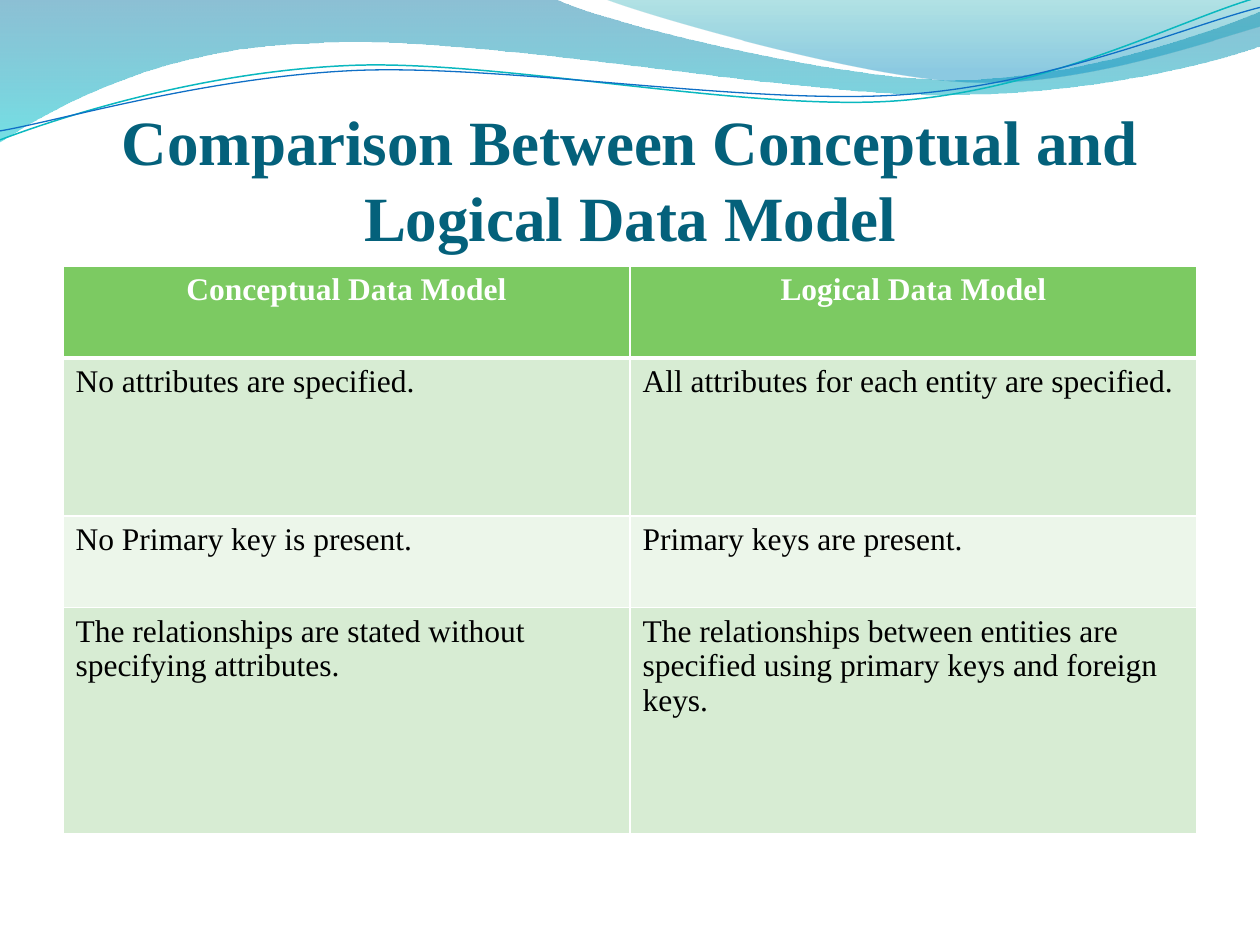
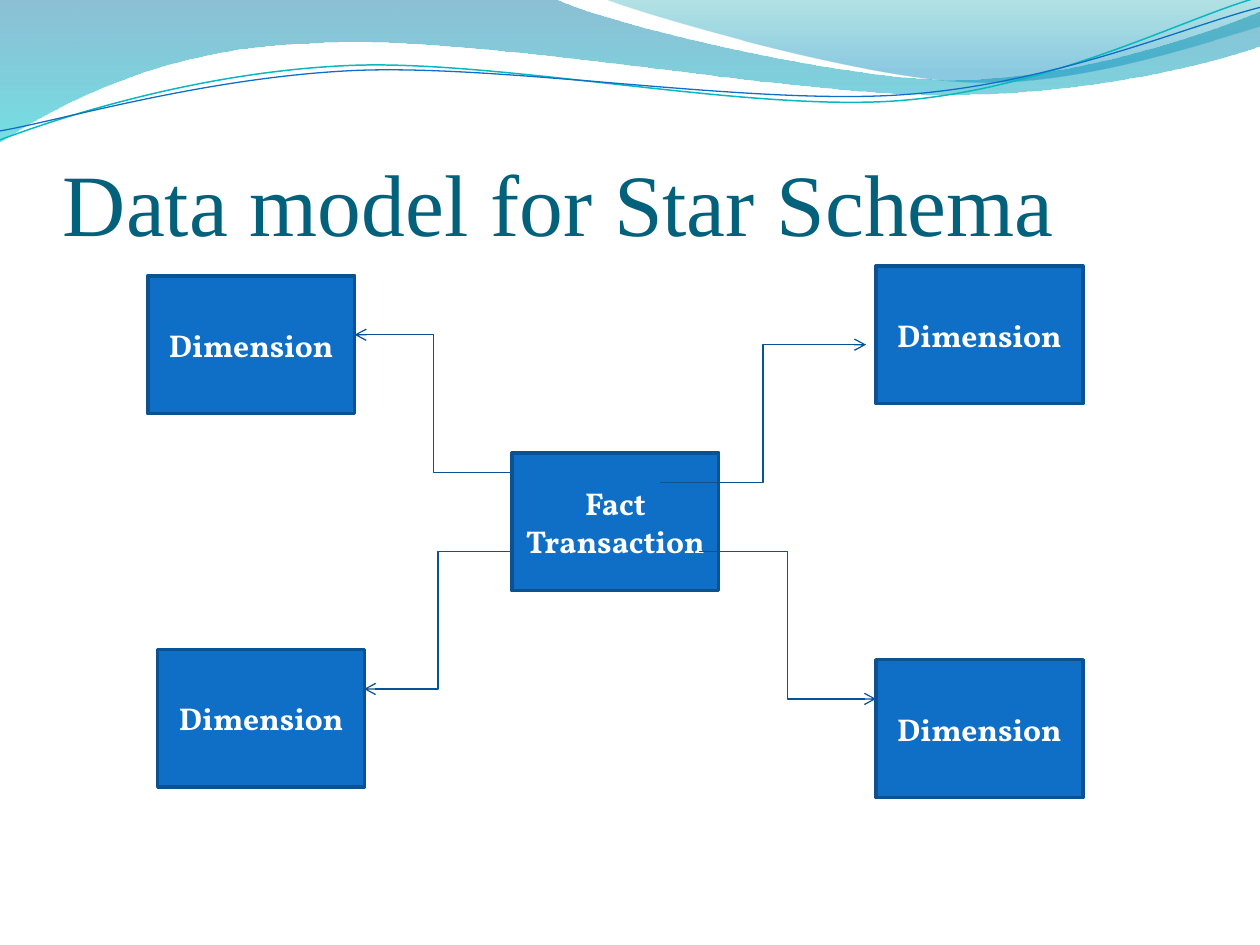
from math import cos, radians, sin
from typing import NamedTuple, Optional

from lxml import etree
from pptx import Presentation
from pptx import util as u
from pptx.dml.color import RGBColor
from pptx.enum import shapes, text
from pptx.oxml.ns import qn

TITLE_TEAL = RGBColor(0x04, 0x61, 0x7B)
WHITE = RGBColor(0xFF, 0xFF, 0xFF)
BLACK = RGBColor(0, 0, 0)
BLUE = RGBColor(0x0F, 0x6F, 0xC6)
BOX_EDGE = RGBColor(0x0B, 0x52, 0x92)
ARROW_BLUE = RGBColor(0x09, 0x52, 0x95)
CURVE_TEAL = RGBColor(0x0A, 0xB8, 0xBF)
HEADER_GREEN = RGBColor(0x7C, 0xCA, 0x62)
BAND_GREEN = RGBColor(0xD7, 0xEC, 0xD3)
BAND_PALE = RGBColor(0xEC, 0xF6, 0xEA)

SERIF = "Times New Roman"
BOX_FONT = "Vollkorn"
CURVE_TILT = -2.7


class Stop(NamedTuple):
    position: float
    color: RGBColor
    opacity: int


class Wave(NamedTuple):
    """Outline in cm: a segment is one point (straight) or three (Bezier)."""
    start: tuple
    segments: list
    stops: tuple = ()
    line: Optional[RGBColor] = None
    width: float = 0
    center: tuple = (0, 0)
    tilt: float = 0


class Box(NamedTuple):
    label: str
    left: float
    top: float


class Arrow(NamedTuple):
    x1: float
    y1: float
    x2: float
    y2: float


WAVES = [
    Wave((0, 0), [
        ((11.18, -0.03),),
        ((12.09, 0.43), (16.87, 1.6), (19.25, 1.6)),
        ((21.67, 1.6), (24.33, 0.66), (25.4, 0.23)),
        ((25.43, 0.91),),
        ((24.97, 1.12), (22.1, 1.93), (18.95, 1.91)),
        ((15.8, 1.91), (9.7, 0.71), (6.53, 0.86)),
        ((3.28, 0.91), (1.17, 2.11), (-0.03, 2.87)),
        ((0, 0),),
    ], stops=(Stop(0, RGBColor(0x00, 0x74, 0xA1), 45),
              Stop(1, RGBColor(0x00, 0xC6, 0xCF), 55))),
    Wave((12.17, -0.03), [
        ((12.93, 0.28), (17.32, 1.57), (19.53, 1.65)),
        ((21.74, 1.75), (24.41, 0.81), (25.4, 0.53)),
        ((25.4, 0),),
        ((12.17, -0.03),),
    ], stops=(Stop(0, RGBColor(0x00, 0xA1, 0xA9), 30),
              Stop(0.8, RGBColor(0x00, 0x8B, 0xBF), 45))),
    Wave((0, 2.82), [
        ((1.22, 2.36), (4.01, 1.45), (7.04, 1.32)),
        ((10.03, 1.19), (15.06, 2.26), (18.11, 2.03)),
        ((21.16, 1.8), (23.83, 0.38), (25.35, -0.05)),
    ], line=CURVE_TEAL, width=0.85, center=(12.67, 1.46), tilt=CURVE_TILT),
    Wave((0, 2.64), [
        ((1.19, 2.44), (4.17, 1.55), (7.19, 1.42)),
        ((10.24, 1.3), (15.16, 2.13), (18.21, 1.91)),
        ((21.23, 1.7), (23.9, 0.53), (25.4, 0.15)),
    ], line=BLUE, width=0.75, center=(12.69, 1.5), tilt=CURVE_TILT),
]

ROWS = [
    ("Conceptual Data Model", "Logical Data Model"),
    ("No attributes are specified.",
     "All attributes for each entity are specified."),
    ("No Primary key is present.", "Primary keys are present."),
    ("The relationships are stated without specifying attributes.",
     "The relationships between entities are specified using primary keys "
     "and foreign keys."),
]
ROW_HEIGHTS = (1.85, 3.18, 1.85, 4.55)
COLUMN_WIDTH = 11.43

BOX_WIDTH, BOX_HEIGHT = 4.17, 2.78
BOXES = [
    Box("Fact Transaction", 10.32, 9.13),
    Box("Dimension", 3.18, 13.09),
    Box("Dimension", 2.98, 5.56),
    Box("Dimension", 17.66, 5.36),
    Box("Dimension", 17.66, 13.3),
]
ARROWS = [
    Arrow(13.3, 9.73, 17.46, 6.95),
    Arrow(10.32, 9.53, 7.15, 6.75),
    Arrow(14.1, 11.12, 17.66, 14.09),
    Arrow(10.32, 11.12, 7.34, 13.89),
]


def untilt(point: tuple, wave: Wave) -> tuple:
    """Place a point, in EMU, as it lies before the wave is rotated."""
    angle = radians(-wave.tilt)
    cx, cy = wave.center
    dx, dy = point[0] - cx, point[1] - cy
    return (u.Cm(cx + dx * cos(angle) - dy * sin(angle)),
            u.Cm(cy + dx * sin(angle) + dy * cos(angle)))


def bend_segments(sp, segments: list) -> None:
    """Merge each three straight steps of a Bezier segment into one curve."""
    steps = iter(list(sp.element.iter(qn("a:lnTo"))))
    for segment in segments:
        group = [next(steps) for _ in segment]
        if len(group) == 1:
            continue
        curve = etree.Element(qn("a:cubicBezTo"))
        group[0].addprevious(curve)
        for step in group:
            curve.append(step[0])
            step.getparent().remove(step)


def draw_wave(s, wave: Wave) -> None:
    builder = s.shapes.build_freeform(*untilt(wave.start, wave))
    builder.add_line_segments([untilt(point, wave) for segment in wave.segments
                               for point in segment], close=bool(wave.stops))
    sp = builder.convert_to_shape()
    bend_segments(sp, wave.segments)
    sp.rotation = wave.tilt
    sp.shadow.inherit = False
    if not wave.stops:
        sp.fill.background()
        sp.line.color.rgb = wave.line
        sp.line.width = u.Pt(wave.width)
        return
    sp.line.fill.background()
    sp.fill.gradient()
    sp.fill.gradient_angle = 270
    for target, stop in zip(sp.fill.gradient_stops, wave.stops):
        target.position = stop.position
        target.color.rgb = stop.color
    for color, stop in zip(sp.element.spPr.iter(qn("a:srgbClr")), wave.stops):
        etree.SubElement(color, qn("a:alpha"), val=str(stop.opacity * 1000))


def add_run(p, words: str, font: str, size: float, color: RGBColor,
            bold: bool = False) -> None:
    r = p.add_run()
    r.text = words
    r.font.name = font
    r.font.size = u.Pt(size)
    r.font.color.rgb = color
    r.font.bold = bold


def add_titled_slide(prs, title: str, size: float, bold: bool, align):
    s = prs.slides.add_slide(prs.slide_layouts[6])
    for wave in WAVES:
        draw_wave(s, wave)
    tf = s.shapes.add_textbox(u.Cm(1.27), u.Cm(1.94),
                              u.Cm(22.86), u.Cm(3.18)).text_frame
    tf.word_wrap = True
    tf.vertical_anchor = text.MSO_ANCHOR.BOTTOM
    tf.margin_left = tf.margin_right = tf.margin_bottom = 0
    tf.margin_top = u.Cm(0.13)
    p = tf.paragraphs[0]
    p.alignment = align
    add_run(p, title, SERIF, size, TITLE_TEAL, bold)
    return s


def set_borders(cell, **widths: float) -> None:
    """Give white edges; widths in points, keyed L, R, T and B."""
    tc_pr = cell._tc.get_or_add_tcPr()
    for side in "LRTB":
        ln = etree.SubElement(tc_pr, qn(f"a:ln{side}"),
                              w=str(u.Pt(widths.get(side, 1))))
        fill = etree.SubElement(ln, qn("a:solidFill"))
        etree.SubElement(fill, qn("a:srgbClr"), val=str(WHITE))


def draw_comparison_table(s) -> None:
    columns = len(ROWS[0])
    table = s.shapes.add_table(len(ROWS), columns, u.Cm(1.27), u.Cm(5.37),
                               u.Cm(COLUMN_WIDTH * columns),
                               u.Cm(sum(ROW_HEIGHTS))).table
    table.horz_banding = False
    for column in table.columns:
        column.width = u.Cm(COLUMN_WIDTH)
    for i, (words, height) in enumerate(zip(ROWS, ROW_HEIGHTS)):
        table.rows[i].height = u.Cm(height)
        header = i == 0
        fill = HEADER_GREEN if header else (BAND_PALE, BAND_GREEN)[i % 2]
        for j, phrase in enumerate(words):
            cell = table.cell(i, j)
            set_borders(cell, B=3 if header else 1, T=3 if i == 1 else 1)
            cell.fill.solid()
            cell.fill.fore_color.rgb = fill
            p = cell.text_frame.paragraphs[0]
            p.alignment = text.PP_ALIGN.CENTER if header else text.PP_ALIGN.LEFT
            add_run(p, phrase, SERIF, 18, WHITE if header else BLACK, header)


def draw_box(s, box: Box) -> None:
    sp = s.shapes.add_shape(shapes.MSO_SHAPE.RECTANGLE, u.Cm(box.left),
                            u.Cm(box.top), u.Cm(BOX_WIDTH), u.Cm(BOX_HEIGHT))
    sp.shadow.inherit = False
    sp.fill.solid()
    sp.fill.fore_color.rgb = BLUE
    sp.line.color.rgb = BOX_EDGE
    sp.line.width = u.Pt(2)
    tf = sp.text_frame
    tf.word_wrap = True
    tf.vertical_anchor = text.MSO_ANCHOR.MIDDLE
    p = tf.paragraphs[0]
    p.alignment = text.PP_ALIGN.CENTER
    add_run(p, box.label, BOX_FONT, 18, WHITE, True)


def draw_arrow(s, arrow: Arrow) -> None:
    cxn = s.shapes.add_connector(shapes.MSO_CONNECTOR.ELBOW,
                                 *(u.Cm(v) for v in arrow))
    cxn.line.color.rgb = ARROW_BLUE
    cxn.line.width = u.Pt(0.75)
    sp_pr = cxn._element.spPr
    etree.SubElement(sp_pr.find(qn("a:ln")), qn("a:tailEnd"), type="arrow")
    etree.SubElement(sp_pr, qn("a:effectLst"))


def main() -> None:
    prs = Presentation()
    prs.slide_width, prs.slide_height = u.Cm(25.4), u.Cm(19.05)

    s = add_titled_slide(prs, "Comparison Between Conceptual and Logical Data Model",
                         36, True, text.PP_ALIGN.CENTER)
    draw_comparison_table(s)

    s = add_titled_slide(prs, "Data model for Star Schema",
                         50, False, text.PP_ALIGN.LEFT)
    for box in BOXES:
        draw_box(s, box)
    for arrow in ARROWS:
        draw_arrow(s, arrow)

    prs.save("out.pptx")


if __name__ == "__main__":
    main()
